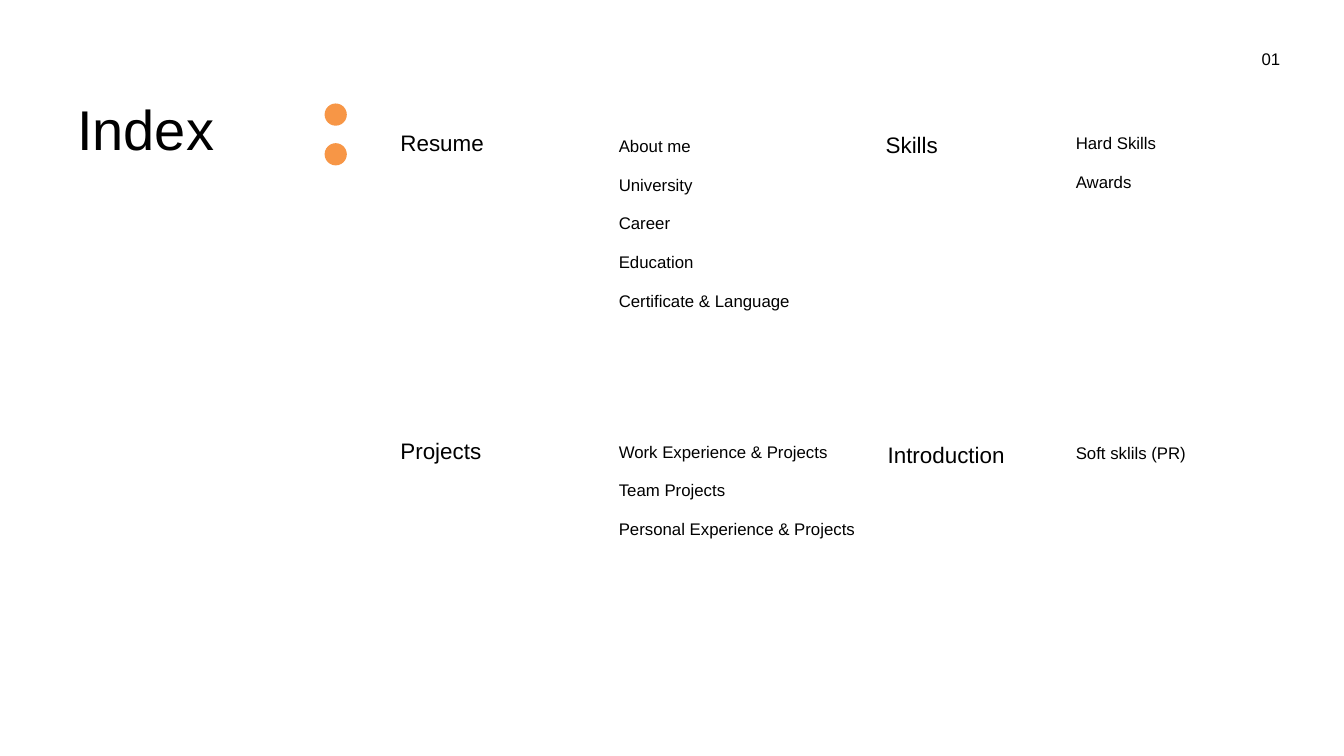
from dataclasses import dataclass

from pptx import Presentation
from pptx.dml.color import RGBColor
from pptx.enum.shapes import MSO_SHAPE
from pptx.enum.text import MSO_AUTO_SIZE, PP_ALIGN
from pptx.util import Pt


@dataclass(frozen=True)
class Theme:
    font: str = "Arial"
    ink: RGBColor = RGBColor(0x00, 0x00, 0x00)
    accent: RGBColor = RGBColor(0xF7, 0x96, 0x46)
    paper: RGBColor = RGBColor(0xFF, 0xFF, 0xFF)
    title: int = 60
    heading: int = 24
    body: int = 18


THEME = Theme()
ITEM_PITCH = 41.4
ITEM_HEIGHT = 29

SECTIONS = [
    ("Resume", (421.9, 134.6), (234, 7.2),
     [("About me", 159), ("University", 190), ("Career", 159),
      ("Education", 159), ("Certificate & Language", 208)]),
    ("Projects", (421.9, 464.4), (234, 5),
     [("Work Experience & Projects", 244), ("Team Projects", 190),
      ("Personal Experience & Projects", 274)]),
    ("Skills", (941.8, 136.8), (203.7, 2.2),
     [("Hard Skills", 159), ("Awards", 190)]),
    ("Introduction", (943.9, 468.7), (201.6, 2.2),
     [("Soft sklils (PR)", 159)]),
]


def add_label(slide, text, left, top, width, height, size, align=PP_ALIGN.LEFT):
    shape = slide.shapes.add_textbox(Pt(left), Pt(top), Pt(width), Pt(height))
    frame = shape.text_frame
    frame.word_wrap = True
    frame.auto_size = MSO_AUTO_SIZE.SHAPE_TO_FIT_TEXT
    paragraph = frame.paragraphs[0]
    paragraph.text = text
    paragraph.alignment = align
    paragraph.font.name = THEME.font
    paragraph.font.size = Pt(size)
    paragraph.font.color.rgb = THEME.ink


def add_colon(slide, left, top, diameter, pitch):
    group = slide.shapes.add_group_shape()
    for index in range(2):
        dot = group.shapes.add_shape(
            MSO_SHAPE.OVAL, Pt(left), Pt(top + index * pitch), Pt(diameter), Pt(diameter))
        dot.shadow.inherit = False
        dot.fill.solid()
        dot.fill.fore_color.rgb = THEME.accent
        dot.line.fill.background()


def add_title(slide, left, top, width, height):
    add_label(slide, "Index", left, top, width, height, THEME.title)
    add_colon(slide, left + 272.2, top + 13.7, 23.8, 42.5)


def add_section(slide, heading, left, top, items_offset, items):
    add_label(slide, heading, left, top, 265, 36, THEME.heading)
    offset_x, offset_y = items_offset
    for index, (text, width) in enumerate(items):
        add_label(slide, text, left + offset_x, top + offset_y + index * ITEM_PITCH,
                  width, ITEM_HEIGHT, THEME.body)


def add_page_number(slide, left, top, width, height):
    add_label(slide, "01", left, top, width, height, THEME.body, PP_ALIGN.RIGHT)


def main():
    presentation = Presentation()
    presentation.slide_width = Pt(1440)
    presentation.slide_height = Pt(810)
    slide = presentation.slides.add_slide(presentation.slide_layouts[6])
    slide.background.fill.solid()
    slide.background.fill.fore_color.rgb = THEME.paper

    add_title(slide, 75.6, 97.2, 426, 80)
    for heading, (left, top), items_offset, items in SECTIONS:
        add_section(slide, heading, left, top, items_offset, items)
    add_page_number(slide, 1328.4, 48.2, 50.4, ITEM_HEIGHT)
    presentation.save("out.pptx")


if __name__ == "__main__":
    main()
